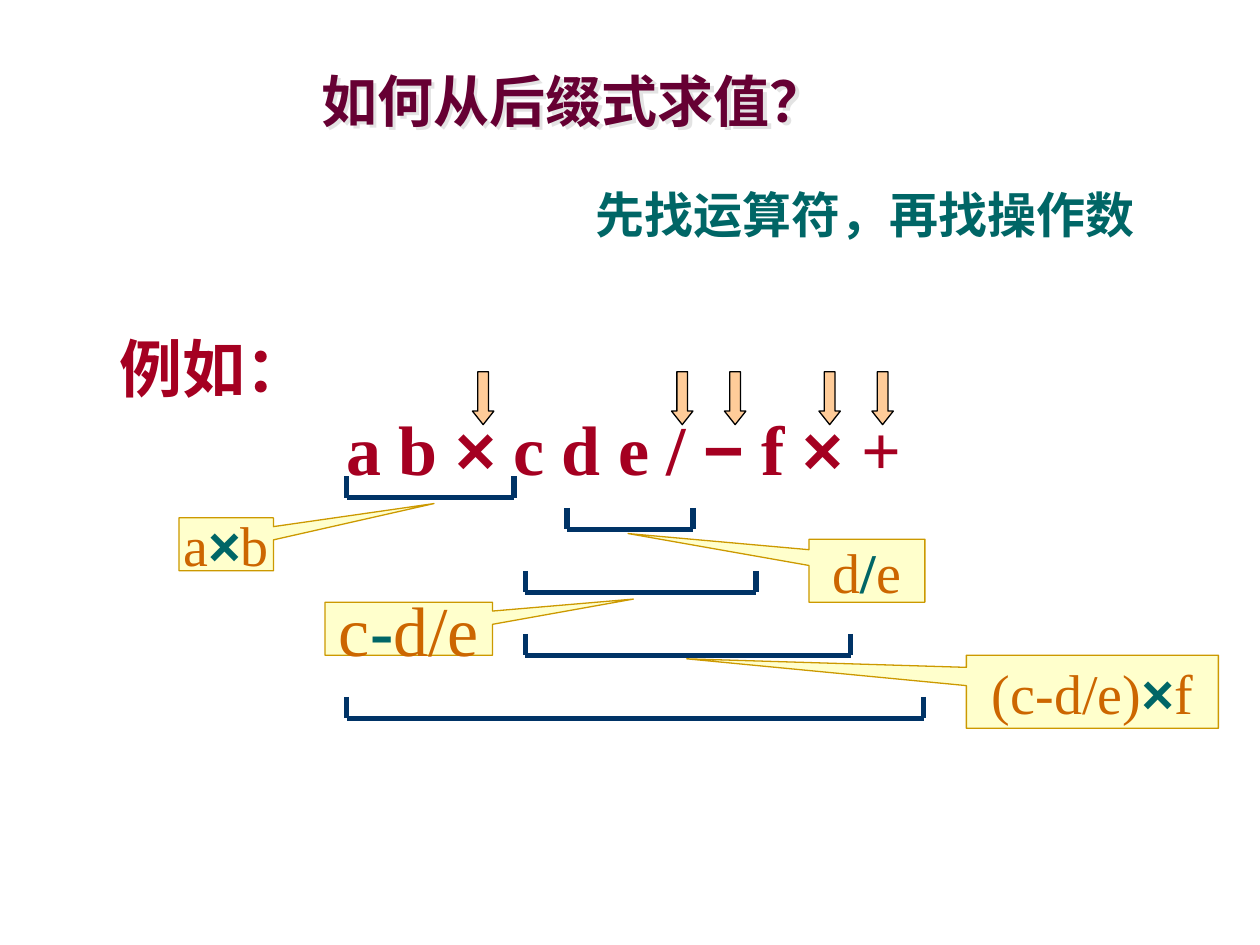
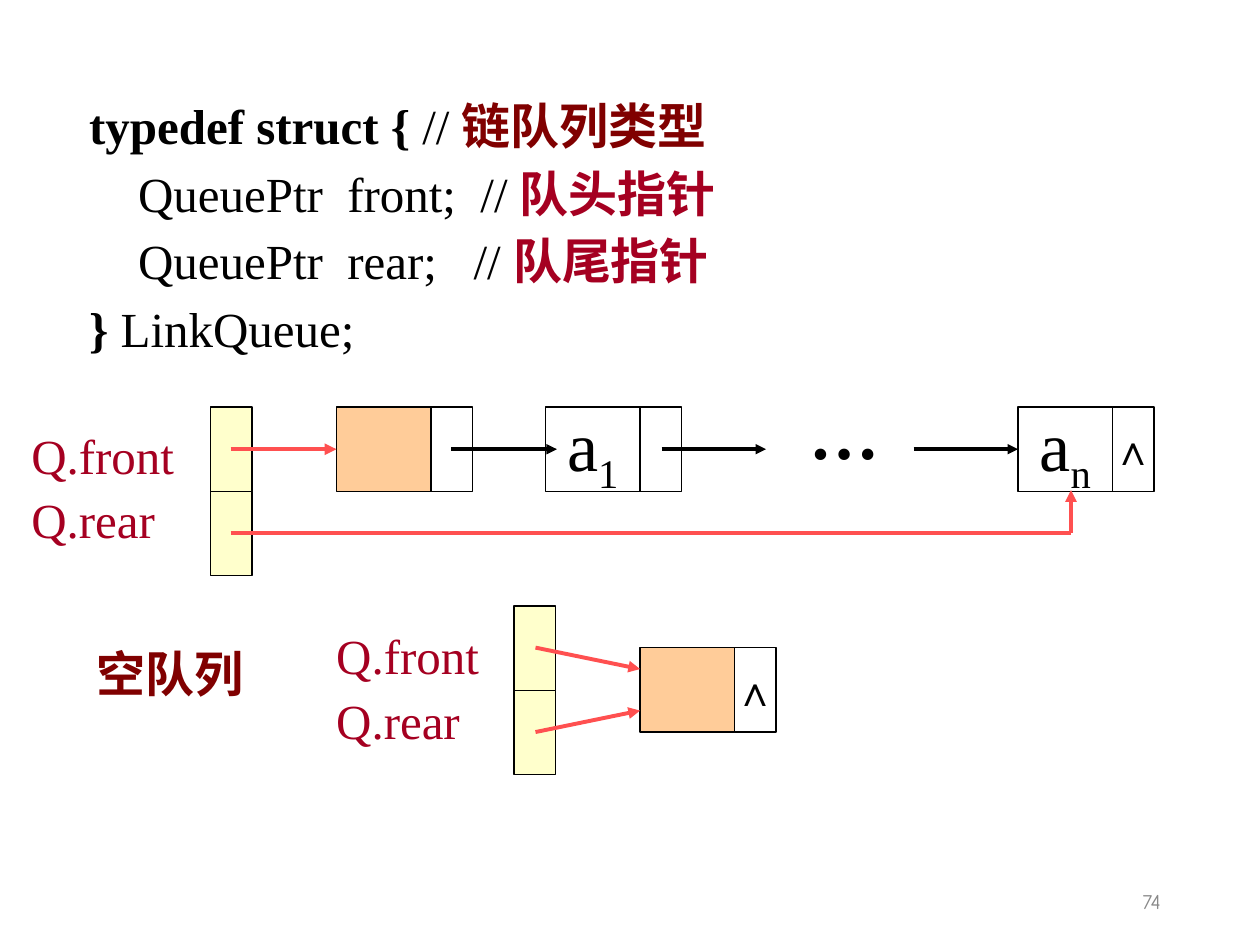
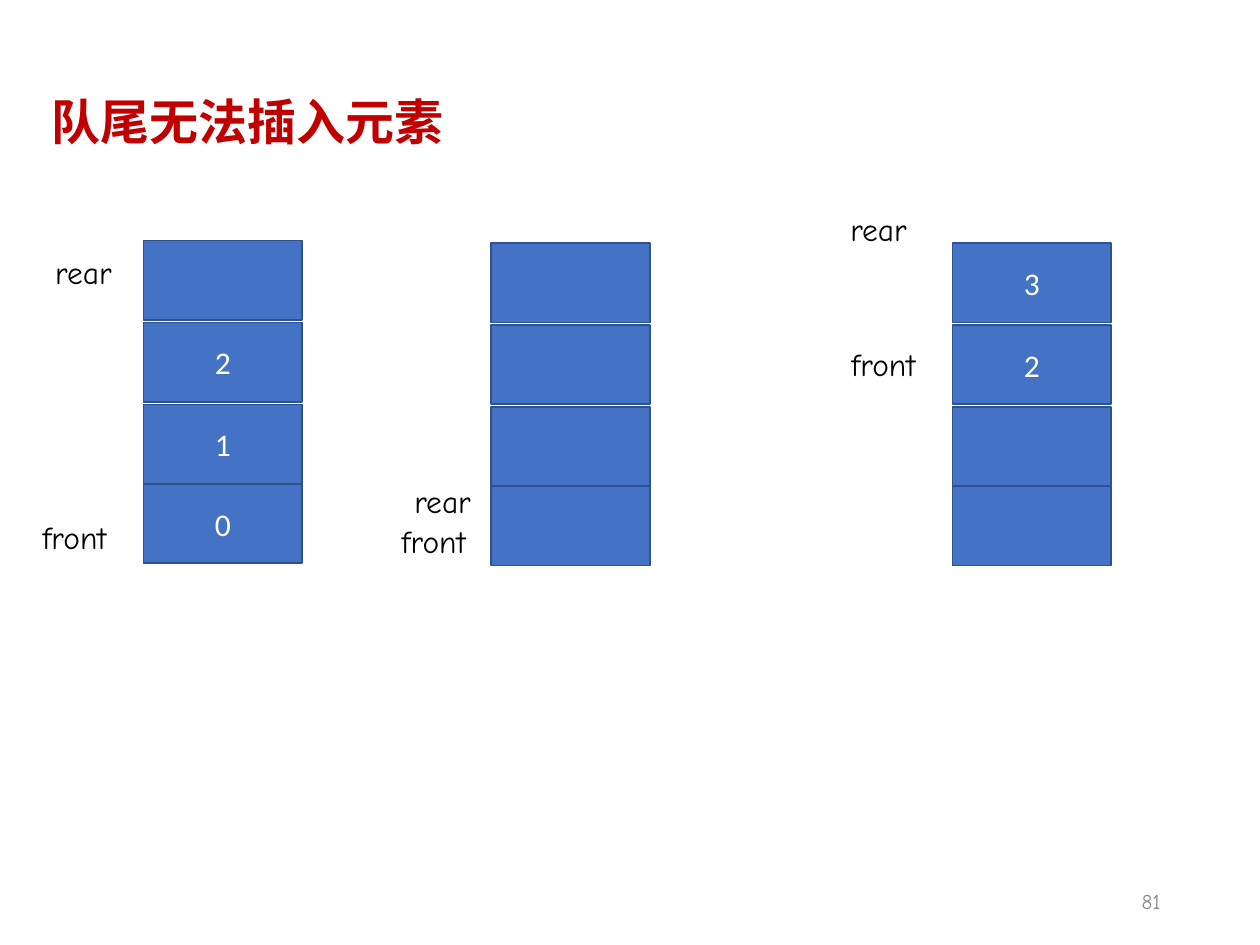
from dataclasses import dataclass
from typing import Optional

import lxml.etree
import pptx
import pptx.dml.color
import pptx.enum.shapes
import pptx.enum.text
import pptx.oxml.ns
import pptx.presentation
import pptx.shapes.autoshape
import pptx.shapes.connector
import pptx.slide
import pptx.text.text
import pptx.util

Inches = pptx.util.Inches
Pt = pptx.util.Pt
RGBColor = pptx.dml.color.RGBColor
Shape = pptx.shapes.autoshape.Shape
Slide = pptx.slide.Slide
qn = pptx.oxml.ns.qn
MSO_SHAPE = pptx.enum.shapes.MSO_SHAPE
ANCHOR = pptx.enum.text.MSO_ANCHOR
ALIGN = pptx.enum.text.PP_ALIGN
AUTO_SIZE = pptx.enum.text.MSO_AUTO_SIZE

BLACK = RGBColor(0x00, 0x00, 0x00)
WHITE = RGBColor(0xFF, 0xFF, 0xFF)
PLUM = RGBColor(0x66, 0x00, 0x33)
TEAL = RGBColor(0x00, 0x66, 0x66)
CRIMSON = RGBColor(0xA5, 0x00, 0x21)
MAROON = RGBColor(0x80, 0x00, 0x00)
RED = RGBColor(0xC0, 0x00, 0x00)
CORAL = RGBColor(0xFF, 0x50, 0x50)
NAVY = RGBColor(0x00, 0x33, 0x66)
CREAM = RGBColor(0xFF, 0xFF, 0xCC)
GOLD = RGBColor(0xCC, 0x99, 0x00)
ORANGE = RGBColor(0xCC, 0x66, 0x00)
PEACH = RGBColor(0xFF, 0xCC, 0x99)
BLUE = RGBColor(0x44, 0x72, 0xC4)
DARK_BLUE = RGBColor(0x2F, 0x52, 0x8F)
GREY = RGBColor(0x89, 0x89, 0x89)
SILVER = RGBColor(0xC0, 0xC0, 0xC0)

SERIF = "Times New Roman"
SANS = "Arial"
BODY = "Calibri"
HAND = "Comic Neue"
CJK = "Noto Sans CJK SC"

TITLE_ONLY, BLANK = 5, 6
CELL_W, CELL_H, DATA_W = 0.33, 0.67, 0.75
TICK = 0.17


@dataclass(frozen=True)
class Span:
    text: str
    size: float
    color: RGBColor = BLACK
    font: str = SERIF
    bold: bool = False
    subscript: bool = False


@dataclass(frozen=True)
class Box:
    left: float
    top: float
    width: float
    height: float

    def lengths(self) -> tuple:
        return tuple(Inches(v) for v in (self.left, self.top, self.width, self.height))


@dataclass(frozen=True)
class Bracket:
    left: float
    right: float
    bottom: float


@dataclass(frozen=True)
class Callout:
    box: Box
    tip: tuple[float, float]
    spans: list[Span]


@dataclass(frozen=True)
class Stack:
    left: float
    top: float
    values: tuple[str, str, str, str]


@dataclass(frozen=True)
class PointerLabel:
    text: str
    left: float
    top: float


Lines = list[list[Span]]


def write(frame: pptx.text.text.TextFrame, lines: Lines,
          align: ALIGN = ALIGN.LEFT, spacing: float = 1.0) -> None:
    for index, spans in enumerate(lines):
        paragraph = frame.add_paragraph() if index else frame.paragraphs[0]
        paragraph.alignment = align
        paragraph.line_spacing = spacing
        for span in spans:
            run = paragraph.add_run()
            run.text = span.text
            run.font.size = Pt(span.size)
            run.font.name = span.font
            run.font.bold = span.bold
            run.font.color.rgb = span.color
            properties = run._r.get_or_add_rPr()
            if span.subscript:
                properties.set("baseline", "-25000")
            if any("一" <= letter <= "龥" for letter in span.text):
                latin = properties.find(qn("a:latin"))
                east_asian = lxml.etree.Element(qn("a:ea"), typeface=CJK)
                latin.addnext(east_asian)


def add_text(slide: Slide, box: Box, lines: Lines, align: ALIGN = ALIGN.LEFT,
             spacing: float = 1.0, anchor: ANCHOR = ANCHOR.TOP) -> Shape:
    text_box = slide.shapes.add_textbox(*box.lengths())
    frame = text_box.text_frame
    frame.word_wrap = True
    frame.vertical_anchor = anchor
    write(frame, lines, align, spacing)
    return text_box


def set_title(slide: Slide, box: Box, span: Span, anchor: ANCHOR,
              spacing: float = 1.0, inset: float = 0.1) -> Shape:
    title = slide.shapes.title
    title.left, title.top, title.width, title.height = box.lengths()
    frame = title.text_frame
    frame.auto_size = AUTO_SIZE.NONE
    frame.word_wrap = True
    frame.vertical_anchor = anchor
    frame.margin_left = Inches(inset)
    write(frame, [[span]], spacing=spacing)
    return title


def cast_shadow(shape: Shape) -> None:
    shape.fill.background()
    effects = lxml.etree.SubElement(shape._element.spPr, qn("a:effectLst"))
    shadow = lxml.etree.SubElement(effects, qn("a:outerShdw"), dist=str(Pt(3)),
                                   dir="2700000", algn="tl", rotWithShape="0")
    color = lxml.etree.SubElement(shadow, qn("a:srgbClr"), val=str(SILVER))
    lxml.etree.SubElement(color, qn("a:alpha"), val="43000")


def add_block(slide: Slide, kind: MSO_SHAPE, box: Box, fill: Optional[RGBColor],
              outline: RGBColor = BLACK, weight: float = 0.75,
              spans: Optional[list[Span]] = None, wrap: bool = False,
              adjustments: tuple[float, ...] = ()) -> Shape:
    block = slide.shapes.add_shape(kind, *box.lengths())
    block.shadow.inherit = False
    if fill is None:
        block.fill.background()
    else:
        block.fill.solid()
        block.fill.fore_color.rgb = fill
    block.line.color.rgb = outline
    block.line.width = Pt(weight)
    for index, value in enumerate(adjustments):
        block.adjustments[index] = value
    if spans:
        block.text_frame.word_wrap = wrap
        block.text_frame.vertical_anchor = ANCHOR.MIDDLE
        write(block.text_frame, [spans], ALIGN.CENTER)
    return block


def add_line(slide: Slide, start: tuple[float, float], end: tuple[float, float],
             color: RGBColor, weight: float,
             arrow: bool = False) -> pptx.shapes.connector.Connector:
    line = slide.shapes.add_connector(
        pptx.enum.shapes.MSO_CONNECTOR.STRAIGHT,
        *(Inches(v) for v in (*start, *end)))
    line.line.color.rgb = color
    line.line.width = Pt(weight)
    if arrow:
        lxml.etree.SubElement(line.line._get_or_add_ln(), qn("a:tailEnd"), type="triangle")
    lxml.etree.SubElement(line._element.spPr, qn("a:effectLst"))
    return line


def add_page_number(slide: Slide, number: int) -> None:
    add_text(slide, Box(7.06, 6.95, 2.25, 0.4), [[Span(str(number), 12, GREY, HAND)]],
             ALIGN.RIGHT, anchor=ANCHOR.MIDDLE)


def add_bracket(slide: Slide, bracket: Bracket) -> None:
    left, right, bottom = bracket.left, bracket.right, bracket.bottom
    add_line(slide, (left, bottom), (right, bottom), NAVY, 3)
    for side in (left, right):
        add_line(slide, (side, bottom - TICK), (side, bottom), NAVY, 3)


def operation(left: str, operator: str, right: str, size: float = 32) -> list[Span]:
    operator_font = SANS if operator == "×" else SERIF
    return [Span(left, size, ORANGE), Span(operator, size, TEAL, operator_font, True),
            Span(right, size, ORANGE)]


def add_pointer_pair(slide: Slide, left: float, top: float, label_left: float,
                     label_top: float) -> None:
    for row in range(2):
        add_block(slide, MSO_SHAPE.RECTANGLE,
                  Box(left, top + row * CELL_H, CELL_W, CELL_H), CREAM)
    add_text(slide, Box(label_left, label_top, 1.45, 1.13),
             [[Span(name, 28, CRIMSON)] for name in ("Q.front", "Q.rear")], spacing=1.1)


def add_node(slide: Slide, left: float, top: float, subscript: str = "",
             last: bool = False) -> Shape:
    link = [Span("∧", 24)] if last else None
    element = [Span("a", 40), Span(subscript, 40, subscript=True)] if subscript else None
    add_block(slide, MSO_SHAPE.RECTANGLE, Box(left + DATA_W, top, CELL_W, CELL_H),
              None, spans=link)
    return add_block(slide, MSO_SHAPE.RECTANGLE, Box(left, top, DATA_W, CELL_H),
                     None if subscript else PEACH, spans=element)


def build_postfix(deck: pptx.presentation.Presentation) -> None:
    slide = deck.slides.add_slide(deck.slide_layouts[TITLE_ONLY])
    title = set_title(slide, Box(2.25, 0.42, 4.72, 0.81),
                      Span("如何从后缀式求值？", 32, PLUM, BODY, True),
                      ANCHOR.MIDDLE, 0.9, 0.3)
    cast_shadow(title)
    add_text(slide, Box(4.63, 1.47, 4.62, 0.81),
             [[Span("先找运算符，再找操作数", 28, TEAL, BODY, True)]], spacing=0.9)

    pieces = (("a b ", SERIF), ("×", SANS), (" c d e / ", SERIF), ("−", SANS),
              (" f ", SERIF), ("×", SANS), (" +", SERIF))
    expression = [Span(text, 40, CRIMSON, font, True) for text, font in pieces]
    example = add_text(slide, Box(0.85, 2.57, 6.5, 1.37),
                       [[Span("例如：", 36, CRIMSON, bold=True)], expression])
    indented = example.text_frame.paragraphs[1]._p.get_or_add_pPr()
    indented.set("marL", str(Inches(1.8)))

    for bracket in (Bracket(2.75, 4.08, 3.95), Bracket(4.5, 5.5, 4.2),
                    Bracket(4.17, 6, 4.7), Bracket(4.17, 6.75, 5.2),
                    Bracket(2.75, 7.33, 5.7)):
        add_bracket(slide, bracket)

    callouts = (
        Callout(Box(1.42, 4.11, 0.75, 0.42), (2.2, -0.77), operation("a", "×", "b")),
        Callout(Box(6.42, 4.28, 0.92, 0.5), (-2.06, -0.59), operation("d", "/", "e")),
        Callout(Box(2.58, 4.78, 1.33, 0.42), (1.34, -0.56), operation("c", "-", "d/e", 40)),
        Callout(Box(7.67, 5.2, 2, 0.58), (-1.61, -0.45), operation("(c-d/e)", "×", "f")),
    )
    for callout in callouts:
        add_block(slide, MSO_SHAPE.RECTANGULAR_CALLOUT, callout.box, CREAM, GOLD,
                  spans=callout.spans, adjustments=callout.tip)

    for operator_left in (3.75, 5.33, 5.75, 6.5, 6.92):
        add_block(slide, MSO_SHAPE.DOWN_ARROW, Box(operator_left, 2.95, 0.17, 0.42),
                  PEACH, adjustments=(0.5, 0.63))


def build_linked_queue(deck: pptx.presentation.Presentation) -> None:
    slide = deck.slides.add_slide(deck.slide_layouts[BLANK])
    code = [
        [Span("typedef struct { ", 28, bold=True), Span("// ", 28),
         Span("链队列类型", 28, MAROON, bold=True)],
        [Span("    QueuePtr  front;  // ", 28), Span("队头指针", 28, CRIMSON, bold=True)],
        [Span("    QueuePtr  rear;   // ", 28), Span("队尾指针", 28, CRIMSON, bold=True)],
        [Span("}", 28, bold=True), Span(" LinkQueue;", 28)],
    ]
    add_text(slide, Box(0.61, 0.64, 5.6, 2.25), code, spacing=1.15)

    top, rear_y = 3.23, 4.23
    middle = top + CELL_H / 2
    add_pointer_pair(slide, 1.67, top, 0.15, 3.28)
    head = add_node(slide, 2.67, top)
    add_node(slide, 4.33, top, "1")
    tail = add_node(slide, 8.08, top, "n", last=True)
    add_line(slide, (1.83, middle), (2.67, middle), CORAL, 2.25, True).end_connect(head, 1)
    for start, end in ((3.58, 4.42), (5.25, 6.08)):
        add_line(slide, (start, middle), (end, middle), BLACK, 2, True)
    add_line(slide, (7.25, middle), (8.08, middle), BLACK, 2, True).end_connect(tail, 1)
    add_text(slide, Box(6.33, 3.04, 0.92, 0.77), [[Span("…", 40, bold=True)]])
    add_line(slide, (1.83, rear_y), (8.5, rear_y), CORAL, 2.25)
    add_line(slide, (8.5, rear_y), (8.5, 3.89), CORAL, 2.25, True)

    add_pointer_pair(slide, 4.08, 4.81, 2.57, 4.87)
    add_node(slide, 5.08, 5.14, last=True)
    for start_y, end_y in ((5.14, 5.31), (5.81, 5.64)):
        add_line(slide, (4.25, start_y), (5.08, end_y), CORAL, 2.25, True)
    add_text(slide, Box(0.67, 5.06, 1.98, 0.57), [[Span("空队列", 28, MAROON, bold=True)]])
    add_page_number(slide, 74)


def build_full_queue(deck: pptx.presentation.Presentation) -> None:
    slide = deck.slides.add_slide(deck.slide_layouts[TITLE_ONLY])
    set_title(slide, Box(0.31, 0.68, 3.51, 0.57),
              Span("队尾无法插入元素", 28, RED, CJK, True), ANCHOR.TOP)

    for stack in (Stack(1.14, 1.91, ("", "2", "1", "0")),
                  Stack(3.9, 1.93, ("", "", "", "")),
                  Stack(7.56, 1.93, ("3", "2", "", ""))):
        for offset, value in zip((0, 0.65, 1.3, 1.93), stack.values):
            spans = [Span(value, 18, WHITE, BODY)] if value else None
            add_block(slide, MSO_SHAPE.RECTANGLE,
                      Box(stack.left, stack.top + offset, 1.26, 0.63),
                      BLUE, DARK_BLUE, 1, spans, wrap=True)

    for label in (PointerLabel("front", 0.24, 4.06), PointerLabel("rear", 0.34, 1.96),
                  PointerLabel("front", 6.66, 2.69), PointerLabel("rear", 6.65, 1.62),
                  PointerLabel("front", 3.09, 4.09), PointerLabel("rear", 3.19, 3.78)):
        add_text(slide, Box(label.left, label.top, 0.9, 0.4),
                 [[Span(label.text, 18, BLACK, HAND)]])
    add_page_number(slide, 81)


def main() -> None:
    deck = pptx.Presentation()
    deck.slide_width = Inches(10)
    deck.slide_height = Inches(7.5)
    build_postfix(deck)
    build_linked_queue(deck)
    build_full_queue(deck)
    deck.save("out.pptx")


if __name__ == "__main__":
    main()
